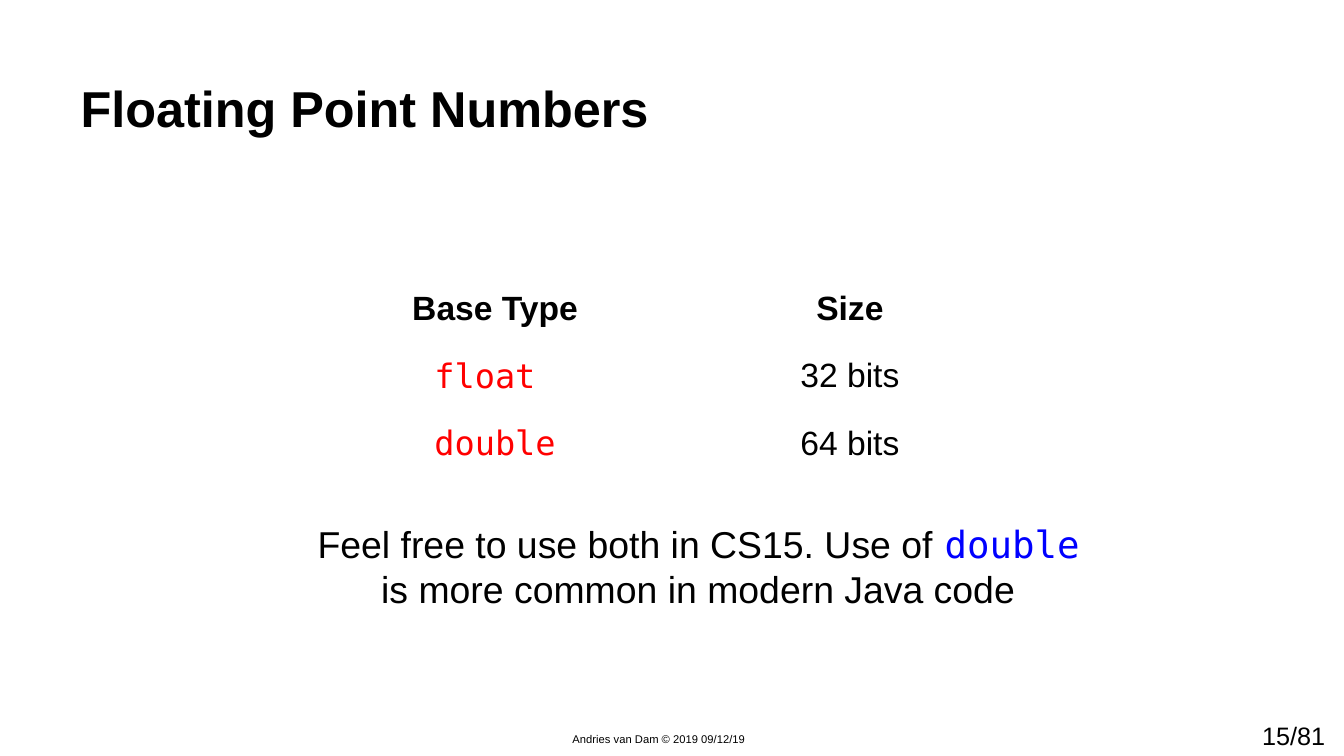
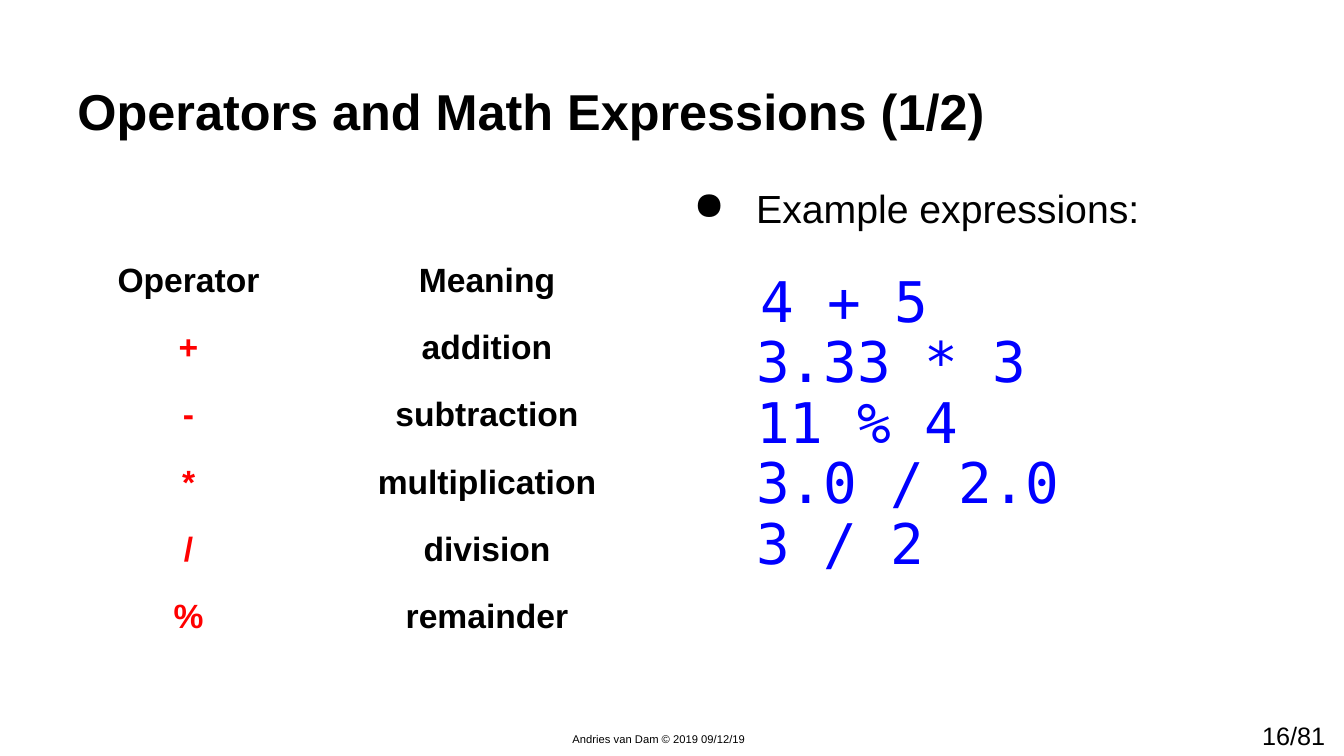
"""Builds two lecture slides on Java number types and operators."""
from pptx import Presentation
from pptx.dml.color import RGBColor
from pptx.enum.text import MSO_ANCHOR as Anchor, PP_ALIGN as Align
from pptx.oxml.ns import qn
from pptx.util import Inches, Pt

SANS, MONO = "Arial", "DejaVu Sans Mono"
BLACK, RED, BLUE = "000000", "FF0000", "0000FF"


def put(para, text, size, color=BLACK, font=SANS, bold=False):
    """Add one styled run to a paragraph."""
    run = para.add_run()
    run.text = text
    run.font.size = Pt(size)
    run.font.name = font
    run.font.bold = bold
    run.font.color.rgb = RGBColor.from_string(color)


def box(slide, left, top, width, height, pad_x=0.13, pad_y=0.13):
    """Add a wrapping text box and return its frame."""
    shape = slide.shapes.add_textbox(Inches(left), Inches(top), Inches(width), Inches(height))
    frame = shape.text_frame
    frame.word_wrap = True
    frame.margin_left = frame.margin_right = Inches(pad_x)
    frame.margin_top = frame.margin_bottom = Inches(pad_y)
    return frame


pages = [
    {
        "title": "Floating Point Numbers", "number": 15, "pad": 0.13,
        "at": (3.15, 2.75), "col": 3.52, "key": MONO, "bold": False,
        "rows": [("Base Type", "Size"), ("float ", "32 bits"), ("double", "64 bits")],
    },
    {
        "title": "Operators and Math Expressions (1/2)", "number": 16, "pad": 0.1,
        "at": (0.39, 2.47), "col": 2.96, "key": SANS, "bold": True,
        "rows": [
            ("Operator", "Meaning"), ("+", "addition"), ("-", "subtraction"),
            ("*", "multiplication"), ("/", "division"), ("%", "remainder"),
        ],
    },
]

deck = Presentation()
deck.slide_width, deck.slide_height = Inches(13.33), Inches(7.5)
slides = []

for page in pages:
    slide = deck.slides.add_slide(deck.slide_layouts[6])
    slides.append(slide)
    count = box(slide, 12.42, 7.1, 1.11, 0.4, 0.1, 0.05)
    put(count.paragraphs[0], f"{page['number']}/81", 18)
    credit = box(slide, 5.58, 7.22, 2.17, 0.24, 0.1, 0.05)
    put(credit.paragraphs[0], "Andries van Dam © 2019 09/12/19", 8)

    title = box(slide, 0.67, 0.25, 12, 1.25, page["pad"], page["pad"])
    title.vertical_anchor = Anchor.BOTTOM
    title.paragraphs[0].line_spacing = 0.9
    put(title.paragraphs[0], page["title"], 36, bold=True)

    rows, (left, top) = page["rows"], page["at"]
    table = slide.shapes.add_table(
        len(rows), 2, Inches(left), Inches(top),
        Inches(2 * page["col"]), Inches(2 / 3 * len(rows))).table
    table.first_row = table.horz_banding = False
    for r, row in enumerate(rows):
        for c, text in enumerate(row):
            cell = table.cell(r, c)
            cell.fill.background()
            cell.margin_left = cell.margin_right = Inches(0.13)
            cell.margin_top = cell.margin_bottom = Inches(0.13)
            para = cell.text_frame.paragraphs[0]
            para.alignment = Align.CENTER
            key = r > 0 and c == 0
            put(para, text, 24, RED if key else BLACK,
                page["key"] if key else SANS, r == 0 or page["bold"])

note = box(slides[0], 2.79, 5.04, 8.28, 1.88).paragraphs[0]
note.alignment = Align.CENTER
put(note, "Feel free to use both in CS15. Use of ", 26.7)
put(note, "double ", 26.7, BLUE, MONO)
put(note, "is more common in modern Java code", 26.7)

body = box(slides[1], 6.7, 1.75, 6.49, 5.43)
lead = body.paragraphs[0]
lead.line_spacing = 0.9
props = lead._p.get_or_add_pPr()
props.set("marL", str(Inches(0.67)))
props.set("indent", str(Inches(-0.62)))
mark = props.makeelement(qn("a:buChar"), {"char": "●"})
props.append(mark)
put(lead, "Example expressions:", 28)

for i, code in enumerate(["4 + 5", "3.33 * 3", "11 % 4", "3.0 / 2.0", "3 / 2"]):
    para = body.add_paragraph()
    para.line_spacing = 0.9
    para.space_before = Pt(0 if i else 30)
    para._p.get_or_add_pPr().set("marL", str(Inches(0.67 if i else 0.71)))
    put(para, code, 40, BLUE, MONO)

deck.save("out.pptx")
